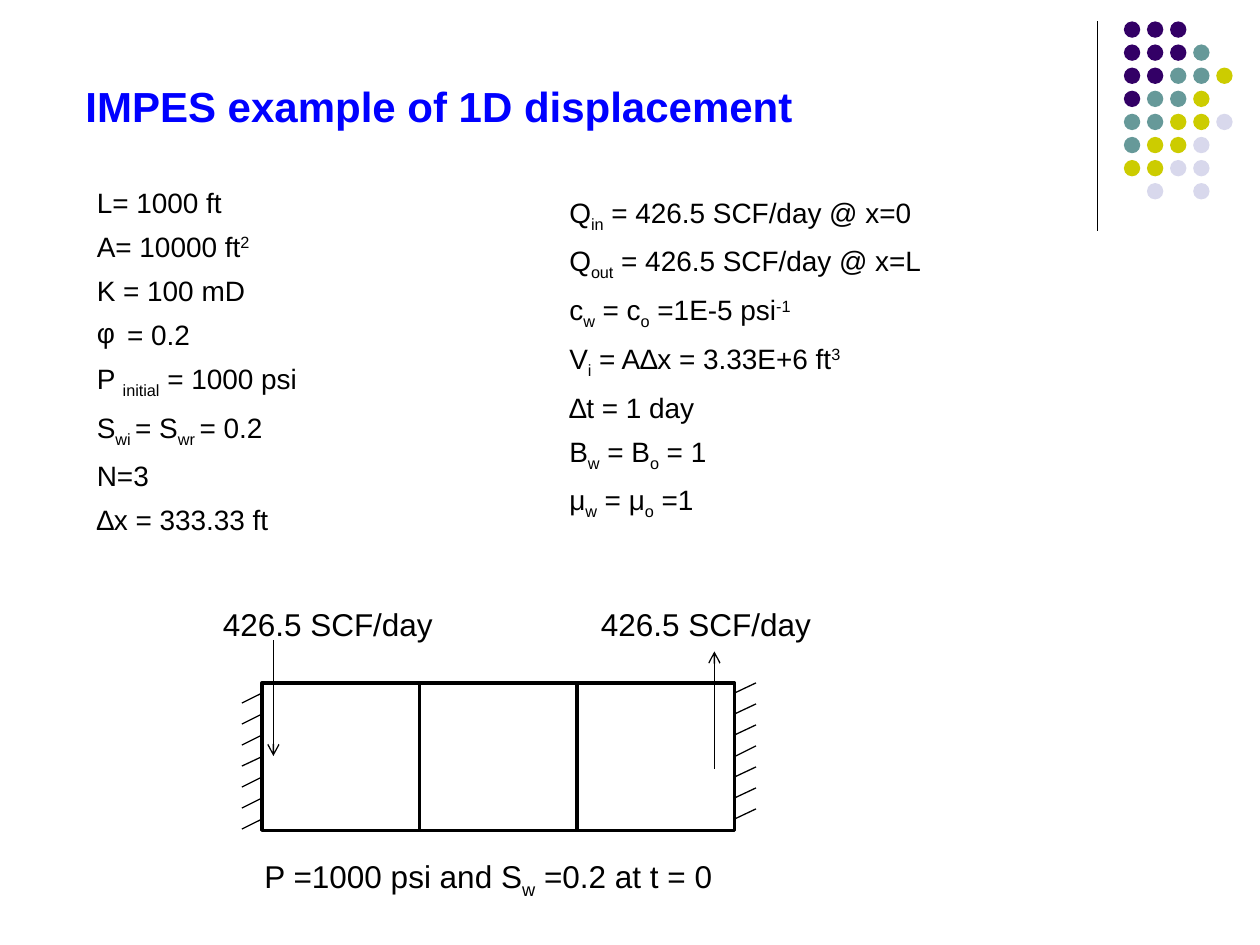
"""Build a slide describing an IMPES example of 1D displacement."""
from lxml import etree
from pptx import Presentation
from pptx import util as u
from pptx.dml.color import RGBColor
from pptx.enum import shapes, text
from pptx.oxml.ns import qn

COLORS = {
    "ink": "000000",
    "title": "0000FF",
    "P": "330066",
    "T": "669999",
    "Y": "CCCC00",
    "L": "D8D8EC",
}
BASELINES = {"_": "-25000", "^": "30000"}
DOT_ROWS = ["PPP", "PPPT", "PPTTY", "PTTY", "TTYYL", "TYYL", "YYLL", " L L"]
ROCK_DATA = [
    "L= 1000 ft",
    "A= 10000 ft|^2",
    "K = 100 mD",
    "•= 0.2",
    "P |_initial| = 1000 psi",
    "S|_wi |= S|_wr |= 0.2",
    "N=3",
    "∆x = 333.33 ft",
]
FLUID_DATA = [
    "Q|_in| = 426.5 SCF/day @ x=0",
    "Q|_out| = 426.5 SCF/day @ x=L",
    "c|_w| = c|_o| =1E-5 psi|^-1",
    "V|_i| = A∆x = 3.33E+6 ft|^3",
    "∆t = 1 day",
    "B|_w| = B|_o| = 1",
    "μ|_w| = μ|_o| =1",
]


class SlideBuilder:
    """Hold the style and the current slide, and draw each kind of element."""

    font = "Arial"

    def __init__(self, slide):
        self.slide = slide

    def color(self, name):
        return RGBColor.from_string(COLORS[name])

    def text(self, box, lines, size, color="ink", bold=False, before=0, title=False):
        shape = self.slide.shapes.add_textbox(*map(u.Inches, box))
        frame = shape.text_frame
        frame.word_wrap = True
        if title:
            frame.vertical_anchor = text.MSO_ANCHOR.BOTTOM
            frame.margin_top = 0
        for number, line in enumerate(lines):
            paragraph = frame.paragraphs[0] if number == 0 else frame.add_paragraph()
            paragraph.space_before = u.Pt(before)
            if line.startswith("•"):
                self.bullet(paragraph, "φ")
                line = line[1:]
            for part in line.split("|"):
                run = paragraph.add_run()
                run.text = part.lstrip("_^")
                run.font.name = self.font
                run.font.size = u.Pt(size)
                run.font.bold = bold
                run.font.color.rgb = self.color(color)
                if part[0] in BASELINES:
                    run.font._element.set("baseline", BASELINES[part[0]])

    def bullet(self, paragraph, character):
        properties = paragraph._p.get_or_add_pPr()
        indent = u.Inches(0.24)
        properties.set("marL", str(indent))
        properties.set("indent", str(-indent))
        etree.SubElement(properties, qn("a:buFont"), typeface=self.font)
        etree.SubElement(properties, qn("a:buChar"), char=character)

    def dot(self, left, top, color):
        size = u.Inches(0.13)
        shape = self.slide.shapes.add_shape(
            shapes.MSO_SHAPE.OVAL, u.Inches(left), u.Inches(top), size, size)
        shape.shadow.inherit = False
        shape.fill.solid()
        shape.fill.fore_color.rgb = self.color(color)
        shape.line.fill.background()

    def cell(self, *box):
        shape = self.slide.shapes.add_shape(
            shapes.MSO_SHAPE.RECTANGLE, *map(u.Inches, box))
        shape.shadow.inherit = False
        shape.fill.background()
        shape.line.color.rgb = self.color("ink")
        shape.line.width = u.Pt(2)
        return shape

    def line(self, *ends, arrow=False):
        connector = self.slide.shapes.add_connector(
            shapes.MSO_CONNECTOR.STRAIGHT, *map(u.Inches, ends))
        connector.line.color.rgb = self.color("ink")
        connector.line.width = u.Pt(0.75)
        if arrow:
            etree.SubElement(connector.line._get_or_add_ln(), qn("a:tailEnd"), type="arrow")
        etree.SubElement(connector._element.spPr, qn("a:effectLst"))
        return connector


def main():
    presentation = Presentation()
    presentation.slide_width = u.Inches(10)
    presentation.slide_height = u.Inches(7.5)
    builder = SlideBuilder(presentation.slides.add_slide(presentation.slide_layouts[6]))

    builder.line(8.71, 0.17, 8.71, 1.83)
    dot_pitch = 0.55 / 3
    for row, colors in enumerate(DOT_ROWS):
        for column, color in enumerate(colors):
            if color != " ":
                builder.dot(8.92 + column * dot_pitch, 0.17 + row * dot_pitch, color)

    builder.text((0.58, 0.17, 7.92, 0.92), ["IMPES example of 1D displacement"],
                 24, "title", bold=True, title=True)
    builder.text((0.67, 1.42, 3.25, 2.84), ROCK_DATA, 16, before=6)
    builder.text((4.42, 1.5, 3.67, 2.49), FLUID_DATA, 16, before=6)

    left, top, width, height = 2.08, 5.42, 1.25, 1.17
    cells = [builder.cell(left + i * width, top, width, height) for i in range(3)]
    right = left + 3 * width
    hatch_count, hatch_pitch = 7, 1 / 6
    for i in range(hatch_count):
        y = 5.5 + i * hatch_pitch
        left_hatch = builder.line(left, y, left - 0.16, y + 0.08)
        right_hatch = builder.line(right, y, right + 0.17, y - 0.08)
        if i == hatch_count // 2:
            left_hatch.begin_connect(cells[0], 1)
            right_hatch.begin_connect(cells[-1], 3)

    builder.line(2.17, 5.08, 2.17, 6, arrow=True)
    builder.line(5.67, 6.1, 5.67, 5.17, arrow=True)
    for x, label_width in ((1.67, 2), (4.67, 1.92)):
        builder.text((x, 4.75, label_width, 0.4), ["426.5 SCF/day"], 18)
    builder.text((2, 6.75, 3.92, 0.4), ["P =1000 psi and S|_w| =0.2 at t = 0"], 18)

    presentation.save("out.pptx")


if __name__ == "__main__":
    main()
